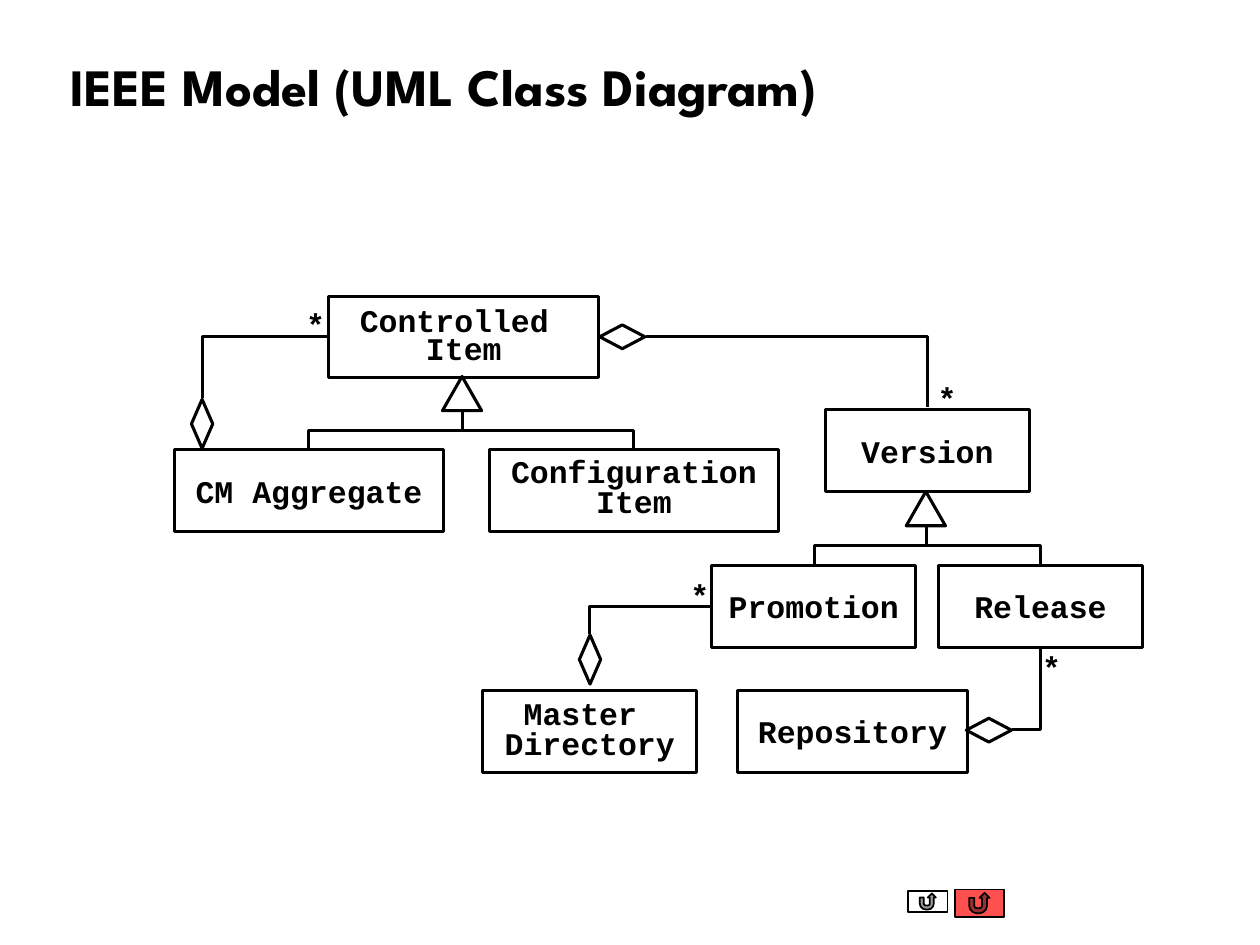
import pptx
import pptx.util
import pptx.dml.color
import pptx.enum.shapes
import pptx.enum.text
import pptx.oxml.xmlchemy

Cm = pptx.util.Cm
Shape = pptx.enum.shapes.MSO_SHAPE
Align = pptx.enum.text.PP_ALIGN
Anchor = pptx.enum.text.MSO_ANCHOR
AutoSize = pptx.enum.text.MSO_AUTO_SIZE

BLACK = pptx.dml.color.RGBColor(0x00, 0x00, 0x00)
WHITE = pptx.dml.color.RGBColor(0xFF, 0xFF, 0xFF)
RED = pptx.dml.color.RGBColor(0xFF, 0x50, 0x50)

BOX_HEIGHT = 1.65


def write(frame, text, font="Courier New", size=18, align=Align.LEFT,
          anchor=Anchor.TOP, wrap=False, spacing=(1,), margins=(0.25, 0.13)):
    """Fill a text frame, one paragraph a line; spacing holds one value a line."""
    frame.word_wrap = wrap
    frame.vertical_anchor = anchor
    frame.margin_left = frame.margin_right = Cm(margins[0])
    frame.margin_top = frame.margin_bottom = Cm(margins[1])
    for index, line in enumerate(text.split("\n")):
        para = frame.add_paragraph() if index else frame.paragraphs[0]
        para.alignment = align
        para.line_spacing = float(spacing[index])
        span = para.add_run()
        span.text = line
        span.font.name = font
        span.font.size = pptx.util.Pt(size)
        span.font.bold = True
        span.font.color.rgb = BLACK


class ClassDiagram:
    """Holds the line style and the page being drawn."""

    def __init__(self, page, line_width=1.75):
        self.shapes = page.shapes
        self.line_width = line_width

    def outline(self, line, width=None):
        line.color.rgb = BLACK
        line.width = pptx.util.Pt(width or self.line_width)

    def symbol(self, kind, left, top, width, height, fill=None, line=None, rotation=0):
        shape = self.shapes.add_shape(kind, Cm(left), Cm(top), Cm(width), Cm(height))
        shape.shadow.inherit = False
        shape.rotation = rotation
        if fill is None:
            shape.fill.background()
        else:
            shape.fill.solid()
            shape.fill.fore_color.rgb = fill
        self.outline(shape.line, line)
        return shape

    def title(self, text):
        box = self.shapes.add_textbox(Cm(1.17), Cm(0.61), Cm(22.66), Cm(2.39))
        write(box.text_frame, text, font="League Spartan", size=30,
              anchor=Anchor.MIDDLE, wrap=True, spacing=(0.9,))

    def class_box(self, text, left, top, width, spacing=(1,)):
        box = self.symbol(Shape.RECTANGLE, left, top, width, BOX_HEIGHT)
        write(box.text_frame, text, align=Align.CENTER, anchor=Anchor.MIDDLE,
              spacing=spacing)

    def many(self, left, top):
        box = self.shapes.add_textbox(Cm(left), Cm(top), Cm(0.38), Cm(0.76))
        write(box.text_frame, "*", margins=(0, 0))
        box.text_frame.auto_size = AutoSize.SHAPE_TO_FIT_TEXT

    def elbow(self, x1, y1, x2, y2):
        link = self.shapes.add_connector(
            pptx.enum.shapes.MSO_CONNECTOR.ELBOW, Cm(x1), Cm(y1), Cm(x2), Cm(y2))
        self.outline(link.line)
        properties = link._element.spPr
        properties.append(pptx.oxml.xmlchemy.OxmlElement("a:effectLst"))
        return properties

    def corner(self, x1, y1, x2, y2):
        """One bend: across from the first point, then up or down to the second."""
        properties = self.elbow(x1, y1, x2, y2)
        properties.xpath("./a:prstGeom")[0].set("prst", "bentConnector2")

    def branch(self, x1, y1, x2, y2):
        """Two bends: down, across, down, as an elbow turned by a quarter."""
        middle_x, middle_y = (x1 + x2) / 2, (y1 + y2) / 2
        half_x, half_y = (x2 - x1) / 2, (y2 - y1) / 2
        properties = self.elbow(middle_x - half_y, middle_y + half_x,
                                middle_x + half_y, middle_y - half_x)
        properties.xpath("./a:xfrm")[0].set("rot", "5400000")

    def inheritance(self, x, top, children):
        """Triangle below a parent, with a branch to the middle of each child."""
        for child in children:
            self.branch(x, top + 0.72, child, top + 1.46)
        self.symbol(Shape.ISOSCELES_TRIANGLE, x - 0.4, top, 0.79, 0.69)

    def aggregation(self, left, top, upright=False):
        size = (0.99, 0.43) if upright else (0.91, 0.48)
        self.symbol(Shape.DIAMOND, left, top, *size, fill=WHITE,
                    rotation=270 if upright else 0)


def main():
    deck = pptx.Presentation()
    deck.slide_width, deck.slide_height = Cm(25.4), Cm(19.05)
    page = deck.slides.add_slide(deck.slide_layouts[6])
    diagram = ClassDiagram(page)

    diagram.title("IEEE Model (UML Class Diagram)")

    # Classes
    diagram.class_box("Controlled \nItem", 6.63, 5.97, 5.44, (0.8, 0.7))
    diagram.class_box("Version", 16.64, 8.26, 4.11)
    diagram.class_box("CM Aggregate", 3.51, 9.07, 5.44)
    diagram.class_box("Configuration\nItem", 9.86, 9.07, 5.84, (0.7, 0.8))
    diagram.class_box("Promotion", 14.35, 11.4, 4.11)
    diagram.class_box("Release", 18.92, 11.4, 4.11)
    diagram.class_box("Master \nDirectory", 9.73, 13.92, 4.32, (0.8, 0.8))
    diagram.class_box("Repository", 14.86, 13.92, 4.65)

    # Multiplicities
    for left, top in ((6.17, 6.15), (18.9, 7.65), (13.92, 11.61), (21.01, 13.06)):
        diagram.many(left, top)

    # Aggregations
    diagram.corner(6.6, 6.78, 4.09, 8.03)
    diagram.corner(13.03, 6.78, 18.69, 8.2)
    diagram.corner(14.33, 12.22, 11.89, 12.78)
    diagram.corner(20.4, 14.71, 20.98, 13.08)
    diagram.aggregation(12.09, 6.55)
    diagram.aggregation(19.48, 14.48)
    diagram.aggregation(3.58, 8.33, upright=True)
    diagram.aggregation(11.4, 13.08, upright=True)

    # Inheritance
    diagram.inheritance(9.32, 7.59, (6.22, 12.78))
    diagram.inheritance(18.67, 9.91, (16.41, 20.98))

    # Return buttons
    diagram.symbol(Shape.ACTION_BUTTON_RETURN, 18.31, 17.96, 0.79, 0.43, WHITE, 1)
    diagram.symbol(Shape.ACTION_BUTTON_RETURN, 19.25, 17.93, 0.99, 0.55, RED, 1)

    deck.save("out.pptx")


if __name__ == "__main__":
    main()
